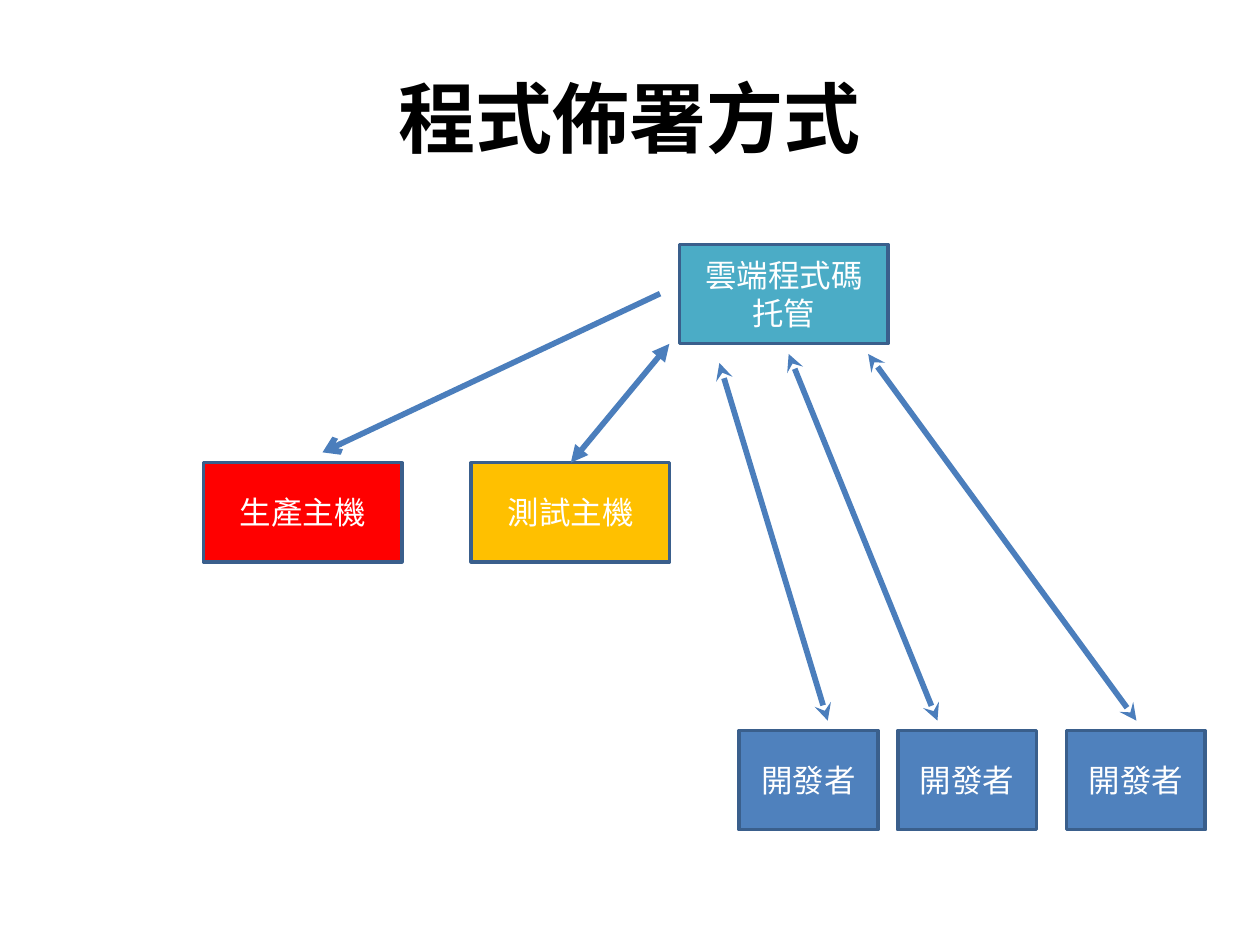
from lxml import etree
from pptx import Presentation
from pptx.dml.color import RGBColor
from pptx.enum.shapes import MSO_CONNECTOR, MSO_SHAPE
from pptx.enum.text import MSO_ANCHOR, PP_ALIGN
from pptx.oxml.ns import qn
from pptx.util import Pt


def color(hex_code):
    """Turn a hex string into a colour."""
    return RGBColor.from_string(hex_code)


def write(shape, text, size, font_name, hex_code, bold=False):
    """Put centred text in a shape and return its run."""
    frame = shape.text_frame
    frame.word_wrap = True
    frame.vertical_anchor = MSO_ANCHOR.MIDDLE
    paragraph = frame.paragraphs[0]
    paragraph.alignment = PP_ALIGN.CENTER
    run = paragraph.add_run()
    run.text = text
    run.font.size = Pt(size)
    run.font.name = font_name
    run.font.bold = bold
    run.font.color.rgb = color(hex_code)
    return run


prs = Presentation()
prs.slide_width, prs.slide_height = Pt(720), Pt(540)
slide = prs.slides.add_slide(prs.slide_layouts[6])

# Title
TITLE_FONT = "Noto Sans CJK SC"
title = slide.shapes.add_textbox(Pt(36), Pt(21.6), Pt(648), Pt(90))
title_run = write(title, "程式佈署方式", 44, TITLE_FONT, "000000", bold=True)
east_asian = etree.SubElement(title_run.font._element, qn("a:ea"))
east_asian.set("typeface", TITLE_FONT)

# Hosts and developers: text, left, top, width, fill
BOX_HEIGHT = 56.7
HOST_TOP, HOST_WIDTH = 264.4, 113.4
DEVELOPER_TOP, DEVELOPER_WIDTH = 417.5, 79.4
boxes = [
    ("開發者", left, DEVELOPER_TOP, DEVELOPER_WIDTH, "4F81BD")
    for left in (609.3, 513, 422.4)
] + [
    ("雲端程式碼托管", 388.4, 139.6, 119, "4BACC6"),
    ("測試主機", 269.3, HOST_TOP, HOST_WIDTH, "FFC000"),
    ("生產主機", 116.2, HOST_TOP, HOST_WIDTH, "FF0000"),
]
for text, left, top, width, fill in boxes:
    box = slide.shapes.add_shape(
        MSO_SHAPE.RECTANGLE, Pt(left), Pt(top), Pt(width), Pt(BOX_HEIGHT))
    box.shadow.inherit = False
    box.fill.solid()
    box.fill.fore_color.rgb = color(fill)
    box.line.color.rgb = color("3A5F8C")
    box.line.width = Pt(2)
    write(box, text, 18, "Calibri", "FFFFFF")

# Arrows: start x, start y, end x, end y, head, tail
arrows = [
    (649.4, 411.8, 496.1, 202.3, "stealth", "stealth"),
    (535.7, 411.8, 450.7, 202.3, "stealth", "stealth"),
    (473, 411.8, 411.1, 207.4, "stealth", "stealth"),
    (326.2, 264.4, 382.5, 196.5, "triangle", "triangle"),
    (377.2, 167.8, 184.3, 258.5, None, "arrow"),
]
for x1, y1, x2, y2, head, tail in arrows:
    arrow = slide.shapes.add_connector(
        MSO_CONNECTOR.STRAIGHT, Pt(x1), Pt(y1), Pt(x2), Pt(y2))
    arrow.line.color.rgb = color("4B7EBC")
    arrow.line.width = Pt(3.25)
    line_xml = arrow.line._get_or_add_ln()
    for tag, kind in (("a:headEnd", head), ("a:tailEnd", tail)):
        if kind:
            etree.SubElement(line_xml, qn(tag)).set("type", kind)
    etree.SubElement(arrow._element.spPr, qn("a:effectLst"))

prs.save("out.pptx")
